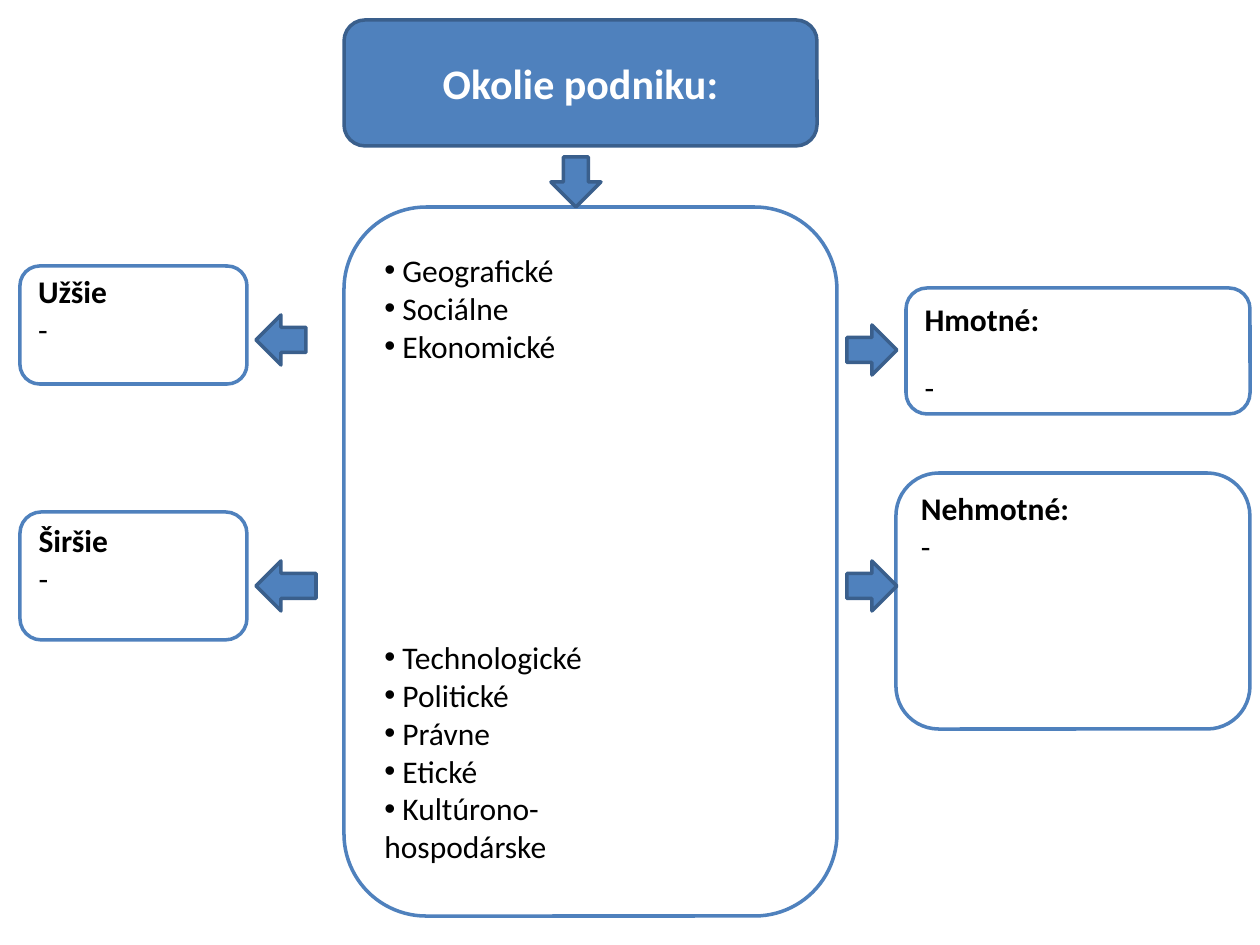
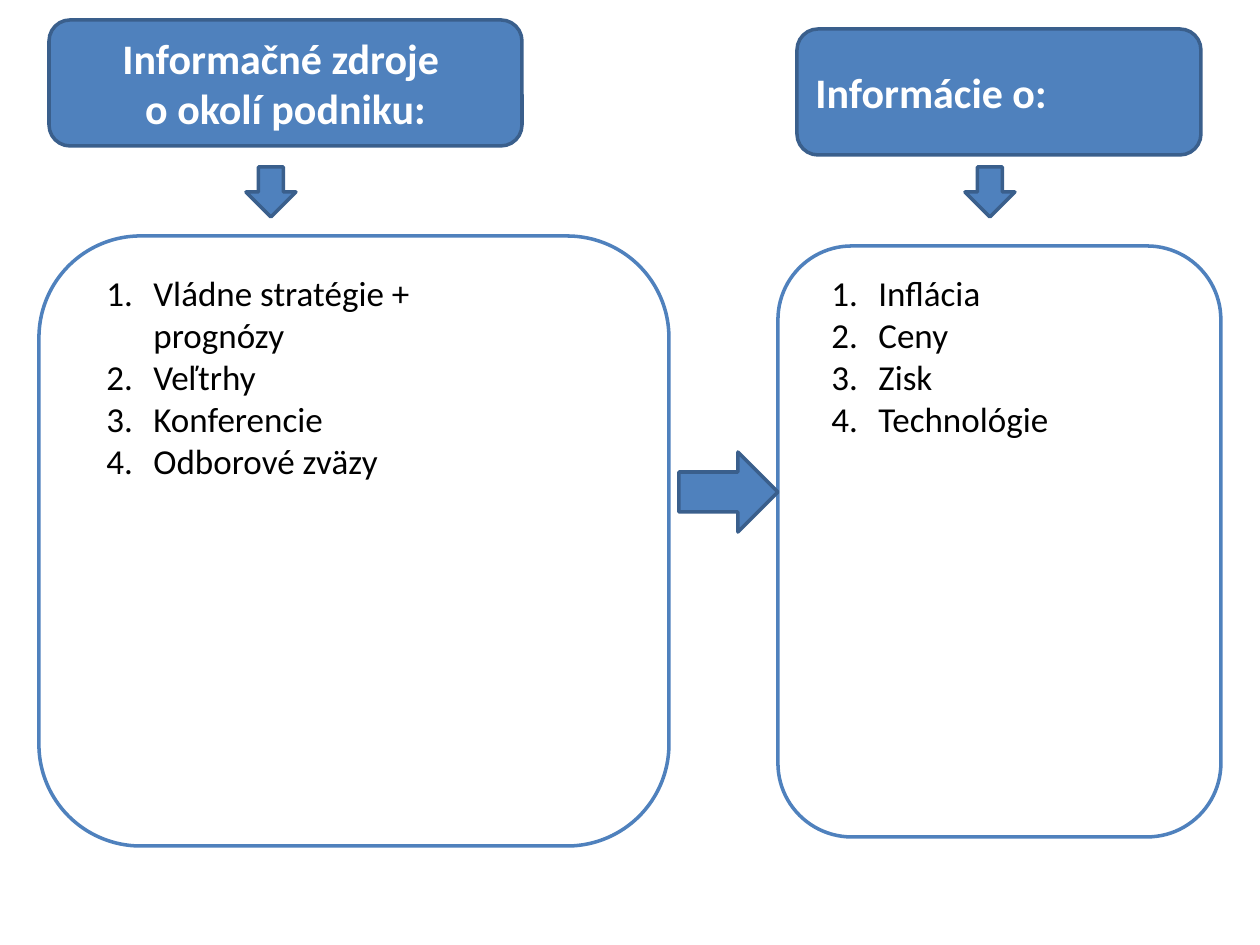
import lxml.etree
import pptx
import pptx.dml.color
import pptx.enum.shapes
import pptx.enum.text
import pptx.oxml.ns
import pptx.util

SHAPES = pptx.enum.shapes.MSO_SHAPE
ALIGN = pptx.enum.text.PP_ALIGN
ANCHOR = pptx.enum.text.MSO_ANCHOR

PIXEL = 914400 / 126
FONT = "Calibri"
BLUE = pptx.dml.color.RGBColor(0x4F, 0x81, 0xBD)
DARK_BLUE = pptx.dml.color.RGBColor(0x3A, 0x5F, 0x8C)
WHITE = pptx.dml.color.RGBColor(0xFF, 0xFF, 0xFF)
BLACK = pptx.dml.color.RGBColor(0, 0, 0)

ARROWS = {"down": SHAPES.DOWN_ARROW, "left": SHAPES.LEFT_ARROW,
          "right": SHAPES.RIGHT_ARROW}
BULLET = [("buFont", {"typeface": "Arial"}), ("buChar", {"char": "•"})]
NUMBER = [("buFont", {"typeface": "+mj-lt"}),
          ("buAutoNum", {"type": "arabicPeriod"})]
NUMBER_INDENT = 47

# Boxes are left, top, width, height in pixels.
# Side panels add the top inset and the gap (points) below the heading.
SLIDES = [
    {
        "titles": [((344, 20, 473, 126), ["Okolie podniku:"], ALIGN.CENTER)],
        "frames": [(344, 207, 493, 709)],
        "panels": [
            ((906, 288, 344, 126), "Hmotné:", 6, 17),
            ((896, 473, 354, 256), "Nehmotné:", 4, 0),
            ((20, 266, 227, 118), "Užšie", 0, 0),
            ((20, 512, 227, 128), "Širšie", 3, 0),
        ],
        "arrows": [
            ("down", (551, 157, 50, 50)),
            ("left", (256, 315, 50, 50)),
            ("left", (256, 561, 60, 50)),
            ("right", (847, 325, 50, 50)),
            ("right", (847, 561, 50, 50)),
        ],
        "lists": [
            ((372, 245, 287, 127), [" Geografické", " Sociálne", " Ekonomické"],
             {"size": 18, "marker": BULLET}),
            ((372, 632, 287, 242),
             [" Technologické", " Politické", " Právne", " Etické",
              " Kultúrono-hospodárske"],
             {"size": 18, "marker": BULLET}),
        ],
    },
    {
        "titles": [
            ((49, 20, 473, 126), ["Informačné zdroje ", "o okolí podniku:"],
             ALIGN.CENTER),
            ((797, 29, 404, 126), ["Informácie o:"], ALIGN.LEFT),
        ],
        "frames": [(39, 236, 630, 610), (778, 246, 443, 591)],
        "panels": [],
        "arrows": [
            ("down", (246, 167, 50, 50)),
            ("right", (679, 452, 99, 80)),
            ("down", (965, 167, 50, 50)),
        ],
        "lists": [
            ((94, 265, 348, 224),
             ["Vládne stratégie + prognózy", "Veľtrhy", "Konferencie",
              "Odborové zväzy"],
             {"size": 20, "marker": NUMBER, "indent": NUMBER_INDENT}),
            ((819, 265, 244, 183), ["Inflácia", "Ceny", "Zisk", "Technológie"],
             {"size": 20, "marker": NUMBER, "indent": NUMBER_INDENT}),
        ],
    },
]


def emu(pixels):
    """Turn pixels into whole EMU."""
    return pptx.util.Emu(round(pixels * PIXEL))


def add_block(slide, kind, box, fill, line):
    """Add a filled and outlined preset shape."""
    shape = slide.shapes.add_shape(kind, *map(emu, box))
    shape.shadow.inherit = False
    shape.fill.solid()
    shape.fill.fore_color.rgb = fill
    shape.line.color.rgb = line
    shape.line.width = pptx.util.Pt(2)
    return shape


def add_marker(paragraph, marker, indent):
    """Give a paragraph a bullet or number with a hanging indent."""
    properties = paragraph._p.get_or_add_pPr()
    properties.set("marL", str(emu(indent)))
    properties.set("indent", str(-emu(indent)))
    for tag, attributes in marker:
        lxml.etree.SubElement(properties, pptx.oxml.ns.qn("a:" + tag), attributes)


def write(shape, lines, size=18, color=BLACK, bold_lines=0, align=ALIGN.LEFT,
          anchor=ANCHOR.TOP, marker=None, indent=0, gap=0):
    """Write lines into a shape; the first bold_lines are bold, gap follows them."""
    frame = shape.text_frame
    frame.word_wrap = True
    frame.vertical_anchor = anchor
    for index, text in enumerate(lines):
        paragraph = frame.paragraphs[0] if index == 0 else frame.add_paragraph()
        paragraph.alignment = align
        if gap and index == bold_lines:
            paragraph.space_before = pptx.util.Pt(gap)
        run = paragraph.add_run()
        run.text = text
        run.font.name = FONT
        run.font.size = pptx.util.Pt(size)
        run.font.bold = index < bold_lines
        run.font.color.rgb = color
        if marker:
            add_marker(paragraph, marker, indent)


def build_slide(presentation, content):
    """Add one slide with its titles, frames, panels, arrows and lists."""
    slide = presentation.slides.add_slide(presentation.slide_layouts[6])
    rounded = SHAPES.ROUNDED_RECTANGLE
    for box, lines, align in content["titles"]:
        title = add_block(slide, rounded, box, BLUE, DARK_BLUE)
        write(title, lines, size=24, color=WHITE, bold_lines=len(lines),
              align=align, anchor=ANCHOR.MIDDLE)
    for box in content["frames"]:
        add_block(slide, rounded, box, WHITE, BLUE)
    for box, heading, inset, gap in content["panels"]:
        panel = add_block(slide, rounded, box, WHITE, BLUE)
        panel.text_frame.margin_top = emu(inset)
        write(panel, [heading, "-"], bold_lines=1, gap=gap)
    for direction, box in content["arrows"]:
        add_block(slide, ARROWS[direction], box, BLUE, DARK_BLUE)
    for box, lines, style in content["lists"]:
        write(slide.shapes.add_textbox(*map(emu, box)), lines, **style)


presentation = pptx.Presentation()
presentation.slide_width = emu(1260)
presentation.slide_height = emu(945)
for content in SLIDES:
    build_slide(presentation, content)
presentation.save("out.pptx")
